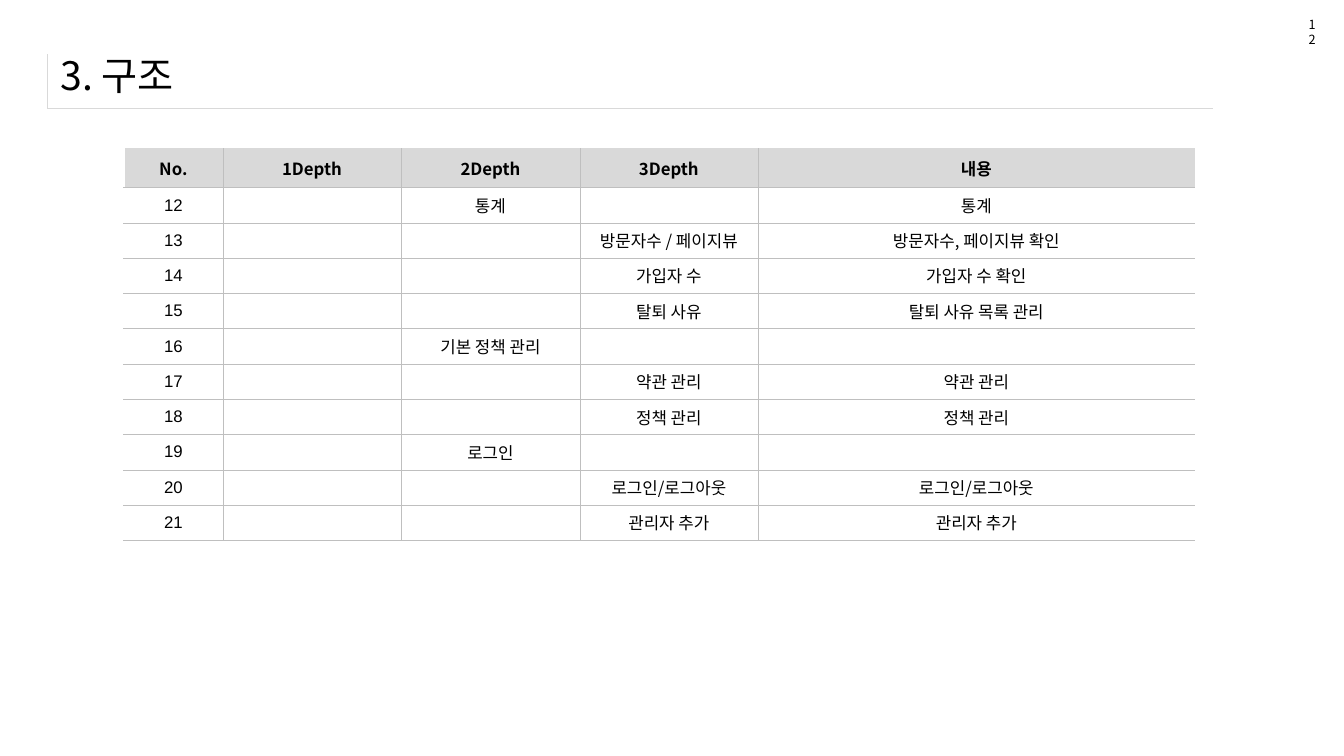
from dataclasses import dataclass
from typing import Optional

import pptx
import pptx.dml.color
import pptx.enum.text
import pptx.oxml.ns
import pptx.util
from lxml import etree

Inches = pptx.util.Inches
qn = pptx.oxml.ns.qn


@dataclass(frozen=True)
class Theme:
    font: str = "Noto Sans CJK KR"
    number_font: str = "Arial"
    ink: str = "000000"
    paper: str = "FFFFFF"
    header_fill: str = "D9D9D9"
    grid: str = "BFBFBF"
    title_rule: str = "D9D9D9"
    title_size: float = 28
    table_size: float = 12
    page_size: float = 9
    thin: float = 0.25
    edge: float = 1


@dataclass(frozen=True)
class Line:
    color: str
    width: float


@dataclass(frozen=True)
class Entry:
    number: int
    depth2: str = ""
    depth3: str = ""
    content: str = ""

    def texts(self) -> list[str]:
        return [str(self.number), "", self.depth2, self.depth3, self.content]


THEME = Theme()
GRID = Line(THEME.grid, THEME.thin)
WHITE_EDGE = Line(THEME.paper, THEME.edge)
TITLE_RULE = Line(THEME.title_rule, THEME.thin)
HEADINGS = ["No.", "1Depth", "2Depth", "3Depth", "내용"]
ENTRIES = [
    Entry(12, depth2="통계", content="통계"),
    Entry(13, depth3="방문자수 / 페이지뷰", content="방문자수, 페이지뷰 확인"),
    Entry(14, depth3="가입자 수", content="가입자 수 확인"),
    Entry(15, depth3="탈퇴 사유", content="탈퇴 사유 목록 관리"),
    Entry(16, depth2="기본 정책 관리"),
    Entry(17, depth3="약관 관리", content="약관 관리"),
    Entry(18, depth3="정책 관리", content="정책 관리"),
    Entry(19, depth2="로그인"),
    Entry(20, depth3="로그인/로그아웃", content="로그인/로그아웃"),
    Entry(21, depth3="관리자 추가", content="관리자 추가"),
]
COLUMN_WIDTHS = [0.98, 1.77, 1.77, 1.77, 4.33]
ROW_HEIGHTS = [0.39] + [0.35] * len(ENTRIES)


def write_text(frame, text: str, *, size: float, font: str = THEME.font,
               bold: bool = False, centred: bool = False) -> None:
    paragraph = frame.paragraphs[0]
    align = pptx.enum.text.PP_ALIGN
    paragraph.alignment = align.CENTER if centred else align.LEFT
    if not text:
        # An empty cell keeps its row low through its end mark
        etree.SubElement(paragraph._p, qn("a:endParaRPr"), sz=str(int(size * 100)))
        return
    run = paragraph.add_run()
    run.text = text
    run.font.size = pptx.util.Pt(size)
    run.font.bold = bold
    run.font.name = font
    run.font.color.rgb = pptx.dml.color.RGBColor.from_string(THEME.ink)
    etree.SubElement(run.font._element, qn("a:ea"), typeface=font)


def style_cell(cell, *, left: Optional[Line] = None, right: Optional[Line] = None,
               top: Optional[Line] = None, bottom: Optional[Line] = None,
               fill: Optional[str] = None) -> None:
    properties = cell._tc.get_or_add_tcPr()
    for side, line in zip("LRTB", (left, right, top, bottom)):
        border = etree.SubElement(properties, qn(f"a:ln{side}"))
        if line is None:
            etree.SubElement(border, qn("a:noFill"))
            continue
        border.set("w", str(pptx.util.Pt(line.width)))
        solid = etree.SubElement(border, qn("a:solidFill"))
        etree.SubElement(solid, qn("a:srgbClr"), val=line.color)
    if fill is None:
        cell.fill.background()
    else:
        cell.fill.solid()
        cell.fill.fore_color.rgb = pptx.dml.color.RGBColor.from_string(fill)


def add_plain_table(slide, left: float, top: float, widths: list[float],
                    heights: list[float]):
    table = slide.shapes.add_table(
        len(heights), len(widths), Inches(left), Inches(top),
        Inches(sum(widths)), Inches(sum(heights))).table
    table.first_row = table.horz_banding = False
    for column, width in zip(table.columns, widths):
        column.width = Inches(width)
    for row, height in zip(table.rows, heights):
        row.height = Inches(height)
    return table


def add_heading(slide) -> None:
    title_frame = add_plain_table(slide, 0.47, 0.54, [11.56], [0.53])
    style_cell(title_frame.cell(0, 0), left=TITLE_RULE, bottom=TITLE_RULE)

    title = slide.shapes.title
    title.left, title.top = Inches(0.5), Inches(0.41)
    title.width, title.height = Inches(12.49), Inches(0.67)
    title.text_frame.auto_size = pptx.enum.text.MSO_AUTO_SIZE.NONE
    title.text_frame.vertical_anchor = pptx.enum.text.MSO_ANCHOR.MIDDLE
    write_text(title.text_frame, "3. 구조", size=THEME.title_size)


def add_page_number(slide) -> None:
    page_number = slide.shapes.add_textbox(
        Inches(12.88), Inches(0.12), Inches(0.27), Inches(0.25))
    page_number.text_frame.word_wrap = True
    write_text(page_number.text_frame, "12", size=THEME.page_size)


def add_structure(slide) -> None:
    structure = add_plain_table(slide, 1.23, 1.47, COLUMN_WIDTHS, ROW_HEIGHTS)
    last_column = len(HEADINGS) - 1
    rows = [HEADINGS] + [entry.texts() for entry in ENTRIES]
    for r, texts in enumerate(rows):
        is_header = r == 0
        for c, text in enumerate(texts):
            cell = structure.cell(r, c)
            cell.vertical_anchor = pptx.enum.text.MSO_ANCHOR.MIDDLE
            style_cell(cell,
                       left=WHITE_EDGE if c == 0 else GRID,
                       right=None if c == last_column else GRID,
                       top=None if is_header else GRID,
                       bottom=GRID,
                       fill=THEME.header_fill if is_header else None)
            is_number = c == 0 and not is_header
            write_text(cell.text_frame, text, size=THEME.table_size,
                       font=THEME.number_font if is_number else THEME.font,
                       bold=is_header, centred=True)


def main() -> None:
    presentation = pptx.Presentation()
    presentation.slide_width = Inches(13.33)
    presentation.slide_height = Inches(7.5)
    slide = presentation.slides.add_slide(presentation.slide_layouts[5])
    add_heading(slide)
    add_page_number(slide)
    add_structure(slide)
    presentation.save("out.pptx")


if __name__ == "__main__":
    main()
